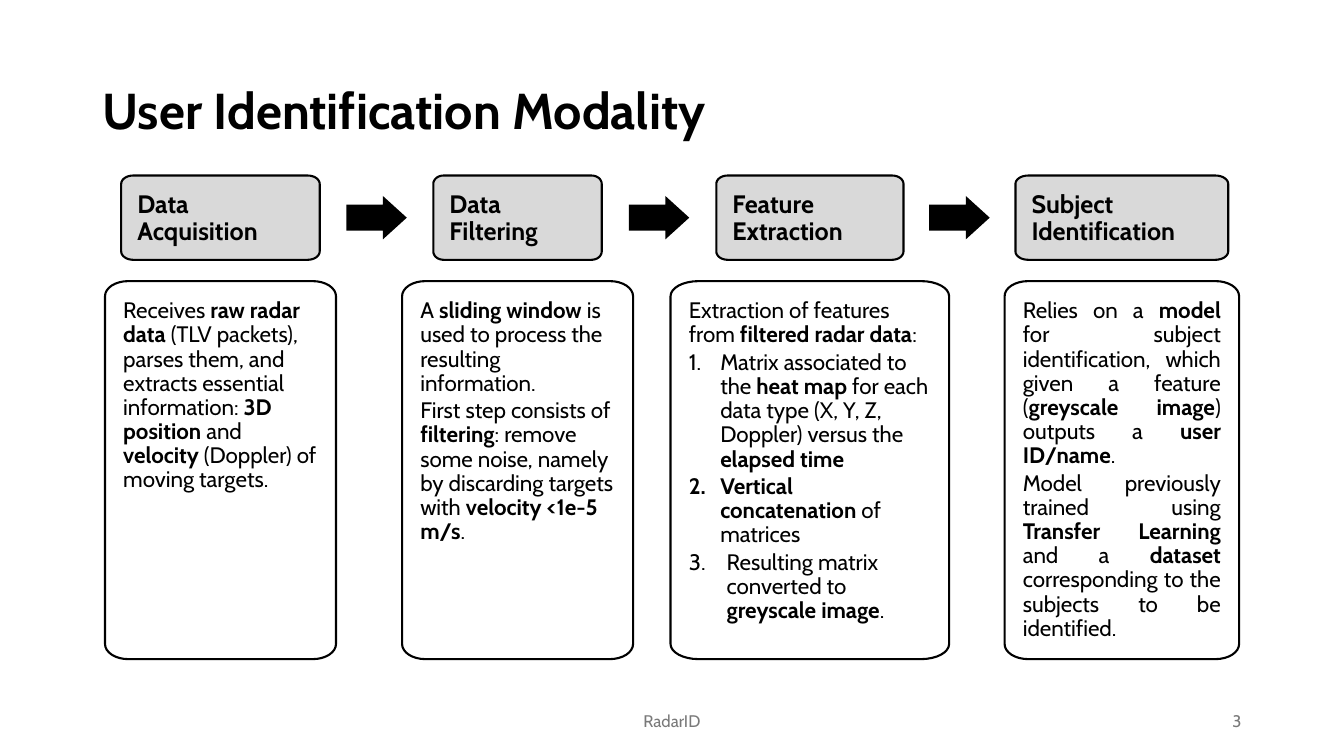
from math import cos, pi, sin

from lxml.etree import SubElement
from pptx import Presentation
from pptx.dml.color import RGBColor
from pptx.enum.shapes import MSO_SHAPE as Shape
from pptx.enum.text import MSO_ANCHOR as Anchor, PP_ALIGN as Align
from pptx.oxml.ns import qn
from pptx.util import Pt

BLACK = RGBColor(0x00, 0x00, 0x00)
WHITE = RGBColor(0xFF, 0xFF, 0xFF)
PALE = RGBColor(0xD9, 0xD9, 0xD9)
GREY = RGBColor(0x79, 0x79, 0x79)
FACE = "Cabin"

# Each step: heading, heading width, card left, card width, alignment,
# and paragraphs of (text, number indent). Asterisks switch bold on and off.
STEPS = [
    ("Data Acquisition", 141.8, 75, 165, Align.LEFT, [
        ("Receives *raw radar data *(TLV packets), parses them, and extracts "
         "essential information: *3D position* and *velocity* (Doppler) of "
         "moving targets.", 0),
    ]),
    ("Data Filtering", 120.3, 287.2, 165, Align.LEFT, [
        ("A *sliding window *is used to process the resulting information.", 0),
        ("First step consists of *filtering*: remove some noise, namely by "
         "discarding targets with *velocity <1e-5 m/s*.", 0),
    ]),
    ("Feature Extraction", 133.7, 479, 199, Align.LEFT, [
        ("Extraction of features from *filtered radar data*:", 0),
        ("Matrix associated to the *heat map *for each data type "
         "(X, Y, Z, Doppler) versus the *elapsed time*", 22.5),
        ("*Vertical concatenation *of matrices", 22.5),
        ("Resulting matrix converted to *greyscale image*.", 27),
    ]),
    ("Subject Identification", 152, 717.6, 167.5, Align.JUSTIFY, [
        ("Relies on a *model* for subject identification, which given a "
         "feature (*greyscale image*) outputs a *user ID/name*.", 0),
        ("Model previously trained using *Transfer Learning *and a *dataset* "
         "corresponding to the subjects to be identified.", 0),
    ]),
]


def style(par, size, color=BLACK, bold=False, align=Align.LEFT):
    par.alignment = align
    font = par.font
    font.name, font.size, font.bold = FACE, Pt(size), bold
    font.color.rgb = color


def write(par, text):
    """Add runs, with bold between asterisks."""
    for i, part in enumerate(text.split("*")):
        if part:
            run = par.add_run()
            run.text = part
            if i % 2:
                run.font.bold = True


def number(par, indent):
    par.level = 1
    props = par._p.get_or_add_pPr()
    props.set("marL", str(Pt(indent)))
    props.set("indent", str(-Pt(indent)))
    SubElement(props, qn("a:buFont"), typeface="+mj-lt")
    SubElement(props, qn("a:buAutoNum"), type="arabicPeriod")


def panel(slide, box, corner, fill, inset, low):
    """Draw a box with elliptical corners and return it, ready for text."""
    x, y, w, h = box
    rx, ry = corner
    hubs = [(x + w - rx, y + h - ry), (x + rx, y + h - ry),
            (x + rx, y + ry), (x + w - rx, y + ry)]
    dots = []
    for i, (cx, cy) in enumerate(hubs):
        for k in range(9):
            turn = (i + k / 8) * pi / 2
            dots.append((Pt(cx + rx * cos(turn)), Pt(cy + ry * sin(turn))))
    path = slide.shapes.build_freeform(*dots[0])
    path.add_line_segments(dots[1:], close=True)
    shape = path.convert_to_shape()
    shape.shadow.inherit = False
    shape.fill.solid()
    shape.fill.fore_color.rgb = fill
    shape.line.color.rgb = BLACK
    shape.line.width = Pt(1.5)
    frame = shape.text_frame
    frame.word_wrap = True
    frame.vertical_anchor = Anchor.TOP
    frame.margin_left = frame.margin_top = frame.margin_right = Pt(inset)
    frame.margin_bottom = Pt(low)
    return shape


def heading(slide, box, text):
    x, y, w, h = box
    shape = panel(slide, box, (w * 0.06, h * 0.1), PALE, 11.5, 4)
    par = shape.text_frame.paragraphs[0]
    par.line_spacing = 0.9
    style(par, 18, bold=True)
    write(par, text)


def card(slide, box, align, lines):
    x, y, w, h = box
    shape = panel(slide, box, (w * 0.1, h * 0.04), WHITE, 13, 13)
    tint = next(shape._element.iter(qn("a:srgbClr")))
    SubElement(tint, qn("a:alpha"), val="90000")
    frame = shape.text_frame
    for i, (text, indent) in enumerate(lines):
        par = frame.add_paragraph() if i else frame.paragraphs[0]
        if indent:
            number(par, indent)
        par.line_spacing = 0.9
        par.space_after = Pt(2.4)
        style(par, 16, align=align)
        write(par, text)


def arrow(slide, mid, y):
    """Draw an arrow centred on the point given."""
    w, h = 43.2, 31
    shape = slide.shapes.add_shape(
        Shape.RIGHT_ARROW, Pt(mid - w / 2), Pt(y - h / 2), Pt(w), Pt(h))
    shape.adjustments[0] = 0.6
    shape.adjustments[1] = 0.55
    shape.shadow.inherit = False
    shape.fill.solid()
    shape.fill.fore_color.rgb = BLACK
    shape.line.fill.background()


def steps(slide, top, tall, gap, deep):
    """Place headings over the middle of their cards, with arrows between."""
    end = None
    for name, wide, x, w, align, lines in STEPS:
        left = x + (w - wide) / 2
        if end is not None:
            arrow(slide, (end + left) / 2, top + tall / 2)
        heading(slide, (left, top, wide, tall), name)
        card(slide, (x, top + tall + gap, w, deep), align, lines)
        end = left + wide


def title(slide, box, text):
    shape = slide.shapes.title
    shape.left, shape.top, shape.width, shape.height = map(Pt, box)
    frame = shape.text_frame
    frame.vertical_anchor = Anchor.MIDDLE
    par = frame.paragraphs[0]
    par.line_spacing = 0.9
    style(par, 36, bold=True)
    write(par, text)


def note(slide, box, text, align):
    frame = slide.shapes.add_textbox(*map(Pt, box)).text_frame
    frame.word_wrap = True
    frame.vertical_anchor = Anchor.MIDDLE
    par = frame.paragraphs[0]
    style(par, 12, GREY, align=align)
    write(par, text)


def main():
    deck = Presentation()
    deck.slide_width, deck.slide_height = Pt(960), Pt(540)
    slide = deck.slides.add_slide(deck.slide_layouts[5])
    title(slide, (66, 28.8, 828, 104.4), "User Identification Modality")
    steps(slide, 125.4, 60.2, 15.2, 270)
    note(slide, (318, 500.5, 324, 28.8), "RadarID", Align.CENTER)
    note(slide, (678, 500.5, 216, 28.8), "3", Align.RIGHT)
    deck.save("out.pptx")


if __name__ == "__main__":
    main()
